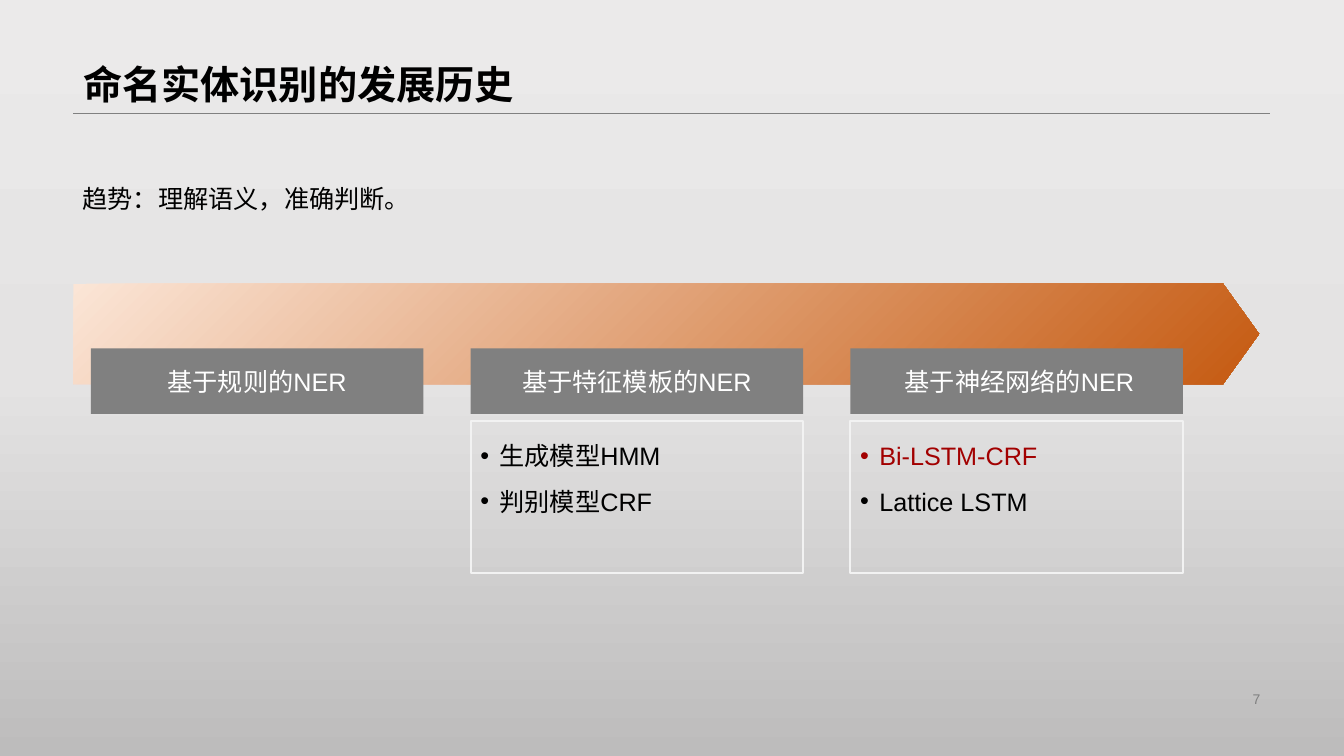
import dataclasses

import lxml.etree
import pptx
import pptx.dml.color
import pptx.enum.shapes
import pptx.enum.text
import pptx.oxml.ns
import pptx.util

Cm = pptx.util.Cm
Pt = pptx.util.Pt
KIND = pptx.enum.shapes.MSO_SHAPE
ALIGN = pptx.enum.text.PP_ALIGN
ANCHOR = pptx.enum.text.MSO_ANCHOR
qn = pptx.oxml.ns.qn


@dataclasses.dataclass(frozen=True)
class Theme:
    black: str = "000000"
    white: str = "FFFFFF"
    gray: str = "808080"
    frame: str = "F2F2F2"
    red: str = "A20000"
    back: tuple = ((0, "EBEAEA"), (50, "E4E3E3"), (100, "BDBCBC"))
    arrow: tuple = ((0, "C55A11"), (100, "FBE5D6"))
    latin: str = "Arial"
    asian: str = "Noto Sans CJK SC"
    title: int = 28
    body: int = 18
    small: int = 10


THEME = Theme()

# Each stage: heading, then (method, colour) pairs
STAGES = [
    ("基于规则的NER", []),
    ("基于特征模板的NER", [("生成模型HMM", THEME.black),
                     ("判别模型CRF", THEME.black)]),
    (" 基于神经网络的NER", [("Bi-LSTM-CRF", THEME.red),
                      ("Lattice LSTM", THEME.black)]),
]


def rgb(code):
    return pptx.dml.color.RGBColor.from_string(code)


def style(para, size, color, bold=False, font=THEME.latin):
    """Format every run of a paragraph."""
    for run in para.runs:
        run.font.size = Pt(size)
        run.font.bold = bold
        run.font.name = font
        run.font.color.rgb = rgb(color)
        east = lxml.etree.SubElement(run.font._element, qn("a:ea"))
        east.set("typeface", THEME.asian)


def blend(root, stops, radial=False):
    """Fill the first gradient under root with the given stops."""
    grad = root.find(".//" + qn("a:gradFill"))
    for child in list(grad):
        grad.remove(child)
    group = lxml.etree.SubElement(grad, qn("a:gsLst"))
    for place, color in stops:
        stop = lxml.etree.SubElement(group, qn("a:gs"), pos=str(place * 1000))
        lxml.etree.SubElement(stop, qn("a:srgbClr"), val=color)
    if radial:
        way = lxml.etree.SubElement(grad, qn("a:path"))
        way.set("path", "circle")
        lxml.etree.SubElement(way, qn("a:fillToRect"), l="100000", t="100000")
    else:
        lxml.etree.SubElement(grad, qn("a:lin"), ang="5400000", scaled="0")


def add_text(slide, area, text, size, color=THEME.black, bold=False,
             font=THEME.latin, anchor=ANCHOR.TOP, align=ALIGN.LEFT, space=1.0):
    frame = slide.shapes.add_textbox(*map(Cm, area)).text_frame
    frame.word_wrap = True
    frame.vertical_anchor = anchor
    frame.text = text
    para = frame.paragraphs[0]
    para.alignment = align
    para.line_spacing = space
    style(para, size, color, bold, font)


def add_block(slide, kind, area):
    block = slide.shapes.add_shape(kind, *map(Cm, area))
    block.shadow.inherit = False
    block.line.fill.background()
    return block


def add_rule(slide, left, right, top):
    rule = slide.shapes.add_connector(
        pptx.enum.shapes.MSO_CONNECTOR.STRAIGHT,
        Cm(left), Cm(top), Cm(right), Cm(top))
    rule.line.color.rgb = rgb(THEME.gray)
    rule.line.width = Pt(0.25)
    lxml.etree.SubElement(rule._element.spPr, qn("a:effectLst"))


def add_arrow(slide, area):
    arrow = add_block(slide, KIND.PENTAGON, area)
    arrow.adjustments[0] = 0.359
    arrow.fill.gradient()
    blend(arrow._element, THEME.arrow, radial=True)


def add_head(slide, area, text):
    head = add_block(slide, KIND.RECTANGLE, area)
    head.fill.solid()
    head.fill.fore_color.rgb = rgb(THEME.gray)
    frame = head.text_frame
    frame.vertical_anchor = ANCHOR.MIDDLE
    frame.text = text
    frame.paragraphs[0].alignment = ALIGN.CENTER
    style(frame.paragraphs[0], THEME.body, THEME.white)


def add_list(slide, area, items):
    box = add_block(slide, KIND.RECTANGLE, area)
    box.fill.background()
    box.line.color.rgb = rgb(THEME.frame)
    box.line.width = Pt(1.5)
    frame = box.text_frame
    frame.vertical_anchor = ANCHOR.TOP
    frame.text = "\n".join(text for text, color in items)
    for para, (text, color) in zip(frame.paragraphs, items):
        para.alignment = ALIGN.LEFT
        para.line_spacing = 1.5
        style(para, THEME.body, color)
        props = para._p.get_or_add_pPr()
        props.set("marL", str(Cm(0.48)))
        props.set("indent", str(-Cm(0.48)))
        lxml.etree.SubElement(props, qn("a:buFont"), typeface=THEME.latin)
        lxml.etree.SubElement(props, qn("a:buChar"), char="•")


def main():
    deck = pptx.Presentation()
    deck.slide_width, deck.slide_height = Cm(33.87), Cm(19.05)
    slide = deck.slides.add_slide(deck.slide_layouts[6])
    slide.background.fill.gradient()
    blend(slide._element, THEME.back)

    # Title, rule, page number and trend line
    add_rule(slide, 1.85, 32, 2.85)
    add_text(slide, (1.85, 0, 30.15, 2.85), "命名实体识别的发展历史",
             THEME.title, bold=True, anchor=ANCHOR.BOTTOM, space=0.9)
    add_text(slide, (23.93, 17.32, 8.08, 0.58), "7", THEME.small, THEME.gray,
             anchor=ANCHOR.MIDDLE, align=ALIGN.RIGHT)
    add_text(slide, (1.83, 4.11, 30.12, 1.27), "趋势：理解语义，准确判断。",
             THEME.body, font=THEME.asian, space=1.5)

    # Timeline with its three stages
    add_arrow(slide, (1.85, 7.15, 29.88, 2.53))
    for i, (name, items) in enumerate(STAGES):
        left = 2.29 + i * 9.57
        if items:
            add_list(slide, (left, 10.6, 8.38, 3.84), items)
        add_head(slide, (left, 8.78, 8.38, 1.65), name)

    deck.save("out.pptx")


if __name__ == "__main__":
    main()
